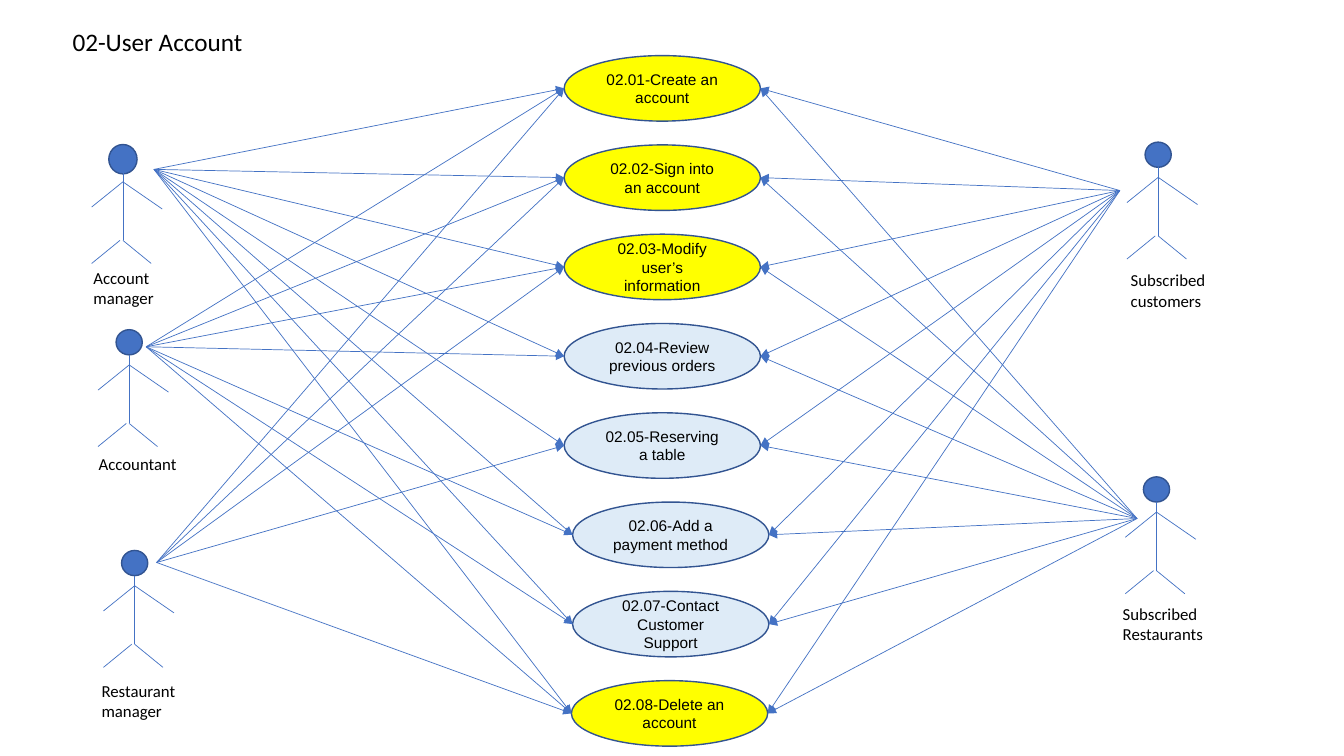
from dataclasses import dataclass

from lxml import etree
from pptx import Presentation
from pptx.dml.color import RGBColor
from pptx.enum.shapes import MSO_CONNECTOR, MSO_SHAPE
from pptx.enum.text import MSO_ANCHOR, MSO_AUTO_SIZE, PP_ALIGN
from pptx.oxml.ns import qn
from pptx.util import Pt

STRAIGHT = MSO_CONNECTOR.STRAIGHT
ELLIPSE = MSO_SHAPE.OVAL
TOP, MIDDLE = MSO_ANCHOR.TOP, MSO_ANCHOR.MIDDLE
LEFT, CENTER = PP_ALIGN.LEFT, PP_ALIGN.CENTER
FIXED = MSO_AUTO_SIZE.NONE
TITLE_ONLY = 5

COLORS = {
    "text": "000000",
    "highlight": "FFFF00",
    "pale": "DEEBF7",
    "figure": "4472C4",
    "outline": "325491",
}

CASE_WIDTH, CASE_HEIGHT = 140.2, 46.8
CASE_TOP, CASE_STEP = 39.7, 63.78
USE_CASES = [
    ("02.01-Create an account", 403, "highlight"),
    ("02.02-Sign into an account", 403, "highlight"),
    ("02.03-Modify user’s information", 403, "highlight"),
    ("02.04-Review previous orders", 403, "pale"),
    ("02.05-Reserving a table", 403, "pale"),
    ("02.06-Add a payment method", 409, "pale"),
    ("02.07-Contact Customer Support", 409, "pale"),
    ("02.08-Delete an account", 408.2, "highlight"),
]
ALL_CASES = range(1, 9)


@dataclass
class Actor:
    """An actor: figure corner, and label and arrow offsets from that corner."""
    name: str
    corner: tuple
    label_offset: tuple
    arrow_offset: tuple
    cases: tuple
    head: tuple = (18.7, 18)
    on_left: bool = True


ACTORS = [
    Actor("Account manager", (65.5, 104.7), (-5.8, 83.2), (44.5, 16.3),
          ALL_CASES, head=(20.2, 21)),
    Actor("Accountant", (70, 235.5), (-6.6, 84.9), (34.4, 12.2),
          (1, 2, 3, 4, 6, 7, 8)),
    Actor("Restaurant manager", (73.9, 393.2), (-8.4, 89.2), (38, 8.6),
          (1, 2, 3, 5, 8)),
    Actor("Subscribed customers", (805, 101.5), (-4.4, 87.9), (-5.1, 34.6),
          ALL_CASES, on_left=False),
    Actor("Subscribed Restaurants", (803.8, 340.6), (-8.9, 87.1), (8.4, 29.8),
          ALL_CASES, on_left=False),
]

LIMBS = [
    ((22.3, 18), (22.3, 67)),
    ((22.3, 67), (42.5, 83.5)),
    ((0, 43.2), (22.3, 25.2)),
    ((22.3, 25.2), (50.4, 44.6)),
    ((0, 83.5), (20.2, 67)),
]
HEAD_CENTER = (22.3, 9)


def shift(point, offset):
    """Return the point moved by the offset."""
    return point[0] + offset[0], point[1] + offset[1]


def color(name):
    """Return the named colour."""
    return RGBColor.from_string(COLORS[name])


def write(frame, text, font, size, align):
    """Write one formatted paragraph into a text frame."""
    frame.text = text
    frame.word_wrap = True
    para = frame.paragraphs[0]
    para.alignment = align
    para.font.name = font
    para.font.size = Pt(size)
    para.font.color.rgb = color("text")


def add_ellipse(page, left, top, width, height, fill):
    """Add an outlined ellipse without shadow."""
    ellipse = page.shapes.add_shape(ELLIPSE, Pt(left), Pt(top), Pt(width), Pt(height))
    ellipse.shadow.inherit = False
    ellipse.fill.solid()
    ellipse.fill.fore_color.rgb = color(fill)
    ellipse.line.color.rgb = color("outline")
    ellipse.line.width = Pt(1)
    return ellipse


def add_line(page, start, end, arrow=False):
    """Add a thin straight line, with an arrowhead at its end if asked."""
    line = page.shapes.add_connector(STRAIGHT, *map(Pt, (*start, *end)))
    line.line.color.rgb = color("figure")
    line.line.width = Pt(0.5)
    properties = line._element.spPr
    if arrow:
        etree.SubElement(properties.find(qn("a:ln")), qn("a:tailEnd"), type="triangle")
    etree.SubElement(properties, qn("a:effectLst"))


def add_title(page, text, left, top, width, height):
    """Place and format the slide title."""
    title = page.shapes.title
    title.left, title.top, title.width, title.height = map(Pt, (left, top, width, height))
    frame = title.text_frame
    write(frame, text, "Calibri", 18, LEFT)
    frame.auto_size = FIXED
    frame.vertical_anchor = TOP


def add_use_cases(page, top):
    """Stack the use cases at equal steps and return their ellipses."""
    ellipses = []
    for row, (text, left, fill) in enumerate(USE_CASES):
        ellipse = add_ellipse(page, left, top + row * CASE_STEP,
                              CASE_WIDTH, CASE_HEIGHT, fill)
        write(ellipse.text_frame, text, "Arial", 11, CENTER)
        ellipse.text_frame.vertical_anchor = MIDDLE
        ellipses.append(ellipse)
    return ellipses


def add_actor(page, actor):
    """Draw a stick figure and its label from the actor's corner."""
    width, height = actor.head
    left, top = shift(shift(actor.corner, HEAD_CENTER), (-width / 2, -height / 2))
    add_ellipse(page, left, top, width, height, "figure")
    for start, end in LIMBS:
        add_line(page, shift(actor.corner, start), shift(actor.corner, end))
    left, top = shift(actor.corner, actor.label_offset)
    label = page.shapes.add_textbox(Pt(left), Pt(top), Pt(81.4), Pt(36))
    write(label.text_frame, actor.name, "Calibri", 12, LEFT)


def add_arrows(page, actor, ellipses):
    """Point from an actor to the near side of each of its use cases."""
    start = shift(actor.corner, actor.arrow_offset)
    for number in actor.cases:
        ellipse = ellipses[number - 1]
        side = ellipse.left if actor.on_left else ellipse.left + ellipse.width
        end = side / Pt(1), (ellipse.top + ellipse.height / 2) / Pt(1)
        add_line(page, start, end, arrow=True)


def main():
    """Build and save the use case diagram."""
    deck = Presentation()
    deck.slide_width, deck.slide_height = Pt(960), Pt(540)
    page = deck.slides.add_slide(deck.slide_layouts[TITLE_ONLY])
    add_title(page, "02-User Account", 44.6, 15.1, 160, 29)
    ellipses = add_use_cases(page, CASE_TOP)
    for actor in ACTORS:
        add_actor(page, actor)
    for actor in ACTORS:
        add_arrows(page, actor, ellipses)
    deck.save("out.pptx")


if __name__ == "__main__":
    main()
